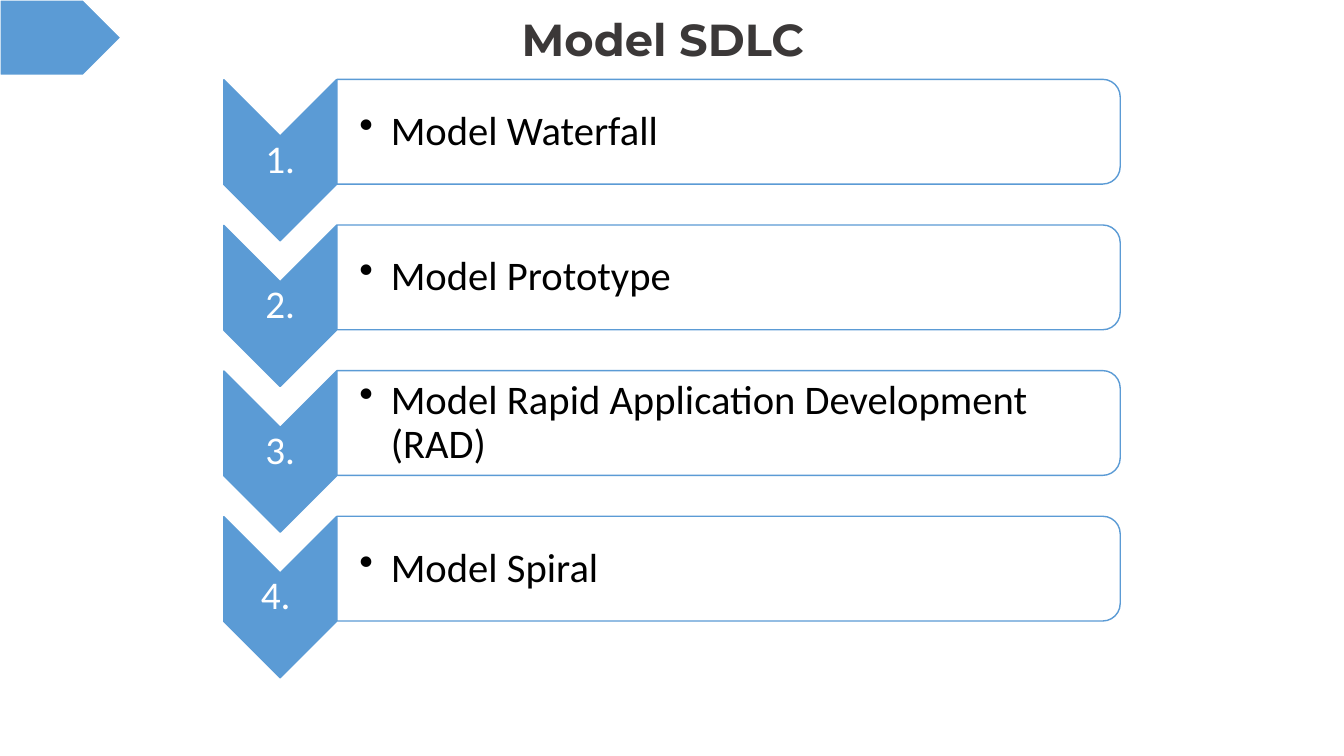
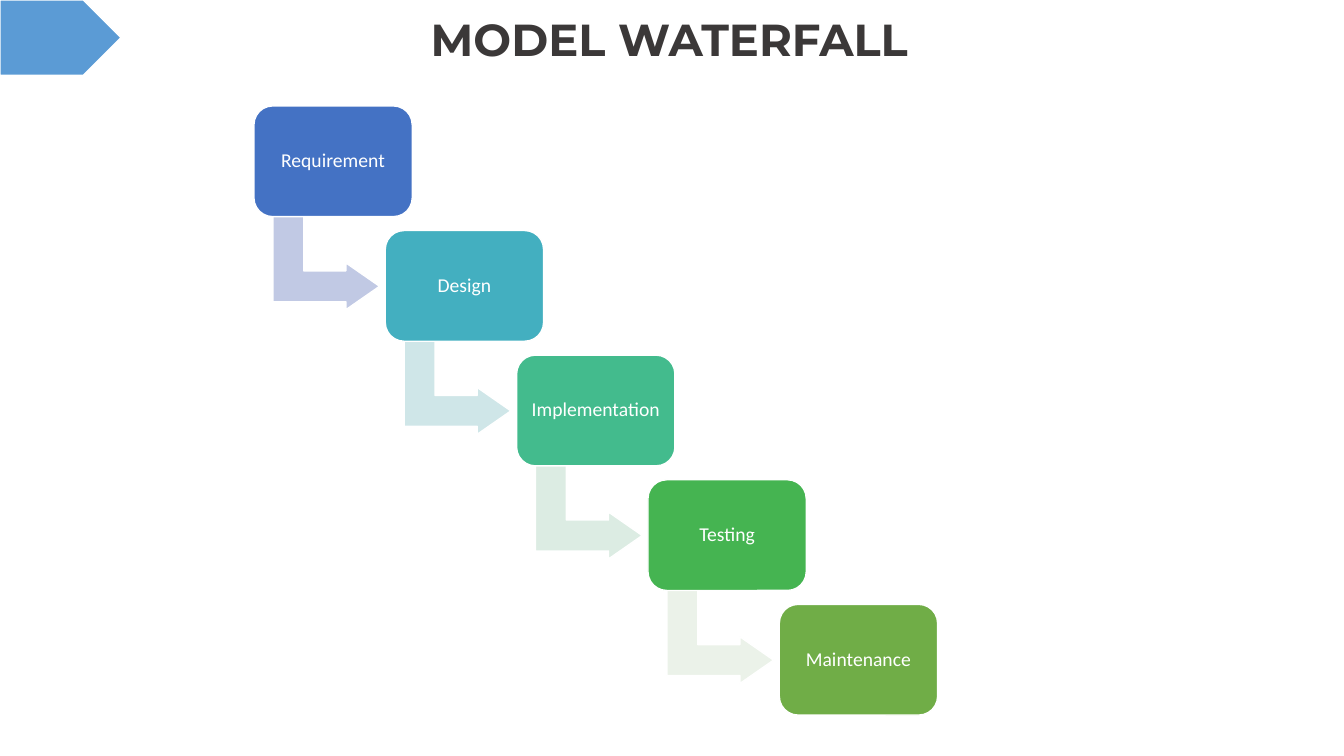
from pptx import Presentation
from pptx.dml.color import RGBColor
from pptx.enum import shapes, text
from pptx.oxml import parse_xml
from pptx.oxml.ns import nsdecls
from pptx.util import Cm, Pt

HUES = {"blue": "5B9BD5", "white": "FFFFFF", "black": "000000", "dark": "3B3838"}
KIND = shapes.MSO_SHAPE


def write(frame, words, size=14, hue=HUES["white"], face="Calibri", bold=False,
          align=text.PP_ALIGN.CENTER, inset=(0.05, 0.05), bullet=False):
    """Fill a frame with one formatted paragraph; inset is left, others in cm."""
    frame.word_wrap = True
    frame.auto_size = text.MSO_AUTO_SIZE.NONE
    frame.vertical_anchor = text.MSO_ANCHOR.MIDDLE
    frame.margin_left = Cm(inset[0])
    frame.margin_right = frame.margin_top = frame.margin_bottom = Cm(inset[1])
    para = frame.paragraphs[0]
    para.alignment, para.line_spacing = align, 0.9
    if bullet:
        props = para._p.get_or_add_pPr()
        props.set("marL", str(Cm(0.79)))
        props.set("indent", str(Cm(-0.79)))
        props.append(parse_xml(f'<a:buChar {nsdecls("a")} char="•"/>'))
    run = para.add_run()
    run.text = words
    font = run.font
    font.name, font.size, font.bold = face, Pt(size), bold
    font.color.rgb = RGBColor.from_string(hue)


def draw(slide, kind, box, fill, line=HUES["white"], turn=0, adjust=()):
    """Add a preset shape; box is left, top, width, height in cm."""
    shape = slide.shapes.add_shape(kind, *map(Cm, box))
    shape.shadow.inherit = False
    shape.fill.solid()
    shape.fill.fore_color.rgb = RGBColor.from_string(fill)
    shape.line.color.rgb = RGBColor.from_string(line)
    shape.line.width = Pt(1)
    shape.rotation = turn
    for i, value in enumerate(adjust):
        shape.adjustments[i] = value
    return shape


deck = Presentation()
deck.slide_width, deck.slide_height = Cm(33.87), Cm(19.05)

# Shared title and corner tag
slides = []
for words in ("Model SDLC ", "MODEL WATERFALL"):
    slide = deck.slides.add_slide(deck.slide_layouts[5])
    title = slide.shapes.title
    title.left, title.top, title.width, title.height = map(Cm, (3.5, 0.1, 26.62, 1.9))
    write(title.text_frame, words, size=32, hue=HUES["dark"], face="Montserrat",
          bold=True, inset=(0.25, 0.13))
    draw(slide, KIND.PENTAGON, (0, 0, 3.05, 1.9), HUES["blue"])
    slides.append(slide)
models, steps = slides

# Numbered list of models
rows = [("1.", "Model Waterfall"), ("2.", "Model Prototype"),
        ("3.", "Model Rapid Application Development (RAD)"), ("4. ", "Model Spiral")]
for i, (mark, name) in enumerate(rows):
    y = 3.67 * i
    draw(models, KIND.CHEVRON, (5.03, 2.62 + y, 4.06, 2.84),
         HUES["blue"], HUES["blue"], turn=90)
    label = models.shapes.add_textbox(*map(Cm, (5.64, 3.43 + y, 2.84, 1.22)))
    write(label.text_frame, mark, size=28)
    draw(models, KIND.ROUND_2_SAME_RECTANGLE, (17.04, -6.55 + y, 2.64, 19.74),
         HUES["white"], HUES["blue"], turn=90)
    entry = models.shapes.add_textbox(*map(Cm, (8.48, 2.13 + y, 19.61, 2.39)))
    write(entry.text_frame, name, size=29, hue=HUES["black"],
          align=text.PP_ALIGN.LEFT, inset=(0.58, 0.05), bullet=True)

# Waterfall stairs: name, box colour, colour of the arrow to the next step
stairs = [("Requirement", "4472C4", "C1C9E4"), ("Design", "43AFC0", "CFE6E8"),
          ("Implementation", "43BB8D", "DCECE3"), ("Testing", "45B451", "EBF2E9"),
          ("Maintenance", "70AD47", None)]
for i, (name, fill, pale) in enumerate(stairs):
    x, y = 3.31 * i, 3.14 * i
    if pale:
        draw(steps, KIND.BENT_UP_ARROW, (7.04 + x, 5.28 + y, 2.36, 2.69), pale,
             turn=90, adjust=(0.33, 0.25, 0.36))
    box = draw(steps, KIND.ROUNDED_RECTANGLE, (6.4 + x, 2.67 + y, 3.99, 2.79), fill,
               adjust=(0.17,))
    write(box.text_frame, name, inset=(0.15, 0.15))

deck.save("out.pptx")
